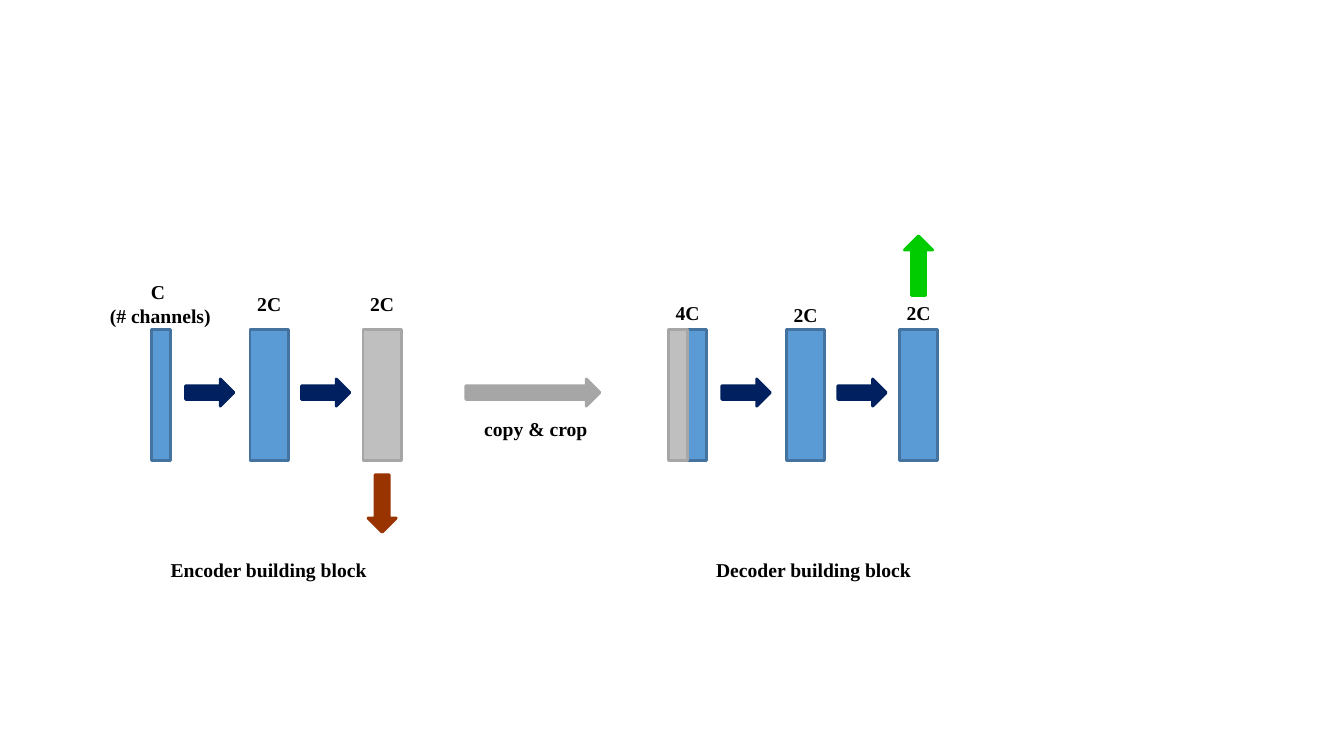
from pptx import Presentation
from pptx import util as u
from pptx.dml.color import RGBColor
from pptx.enum import shapes, text

# Content: lengths in inches
SLIDE_SIZE = (13.33, 7.5)
BLUE, GREY, NAVY = ("5B9BD5", "43739E"), ("BFBFBF", "A6A6A6"), ("002060", "002060")
BROWN, GREEN, SILVER = ("993300", "993300"), ("00CC00", "00CC00"), ("A6A6A6", "A6A6A6")
FONT = {"name": "Times New Roman", "size": u.Pt(14), "bold": True}

# Rows and columns; columns count from the left of a block
BAR_TOP, BAR_HEIGHT, NARROW, WIDE = 3.27, 1.3, 0.19, 0.38
ARROW_TOP, ARROW_LENGTH, ARROW_WIDTH = 3.76, 0.48, 0.27
BAR_COLUMNS = (0, 0.98, 2.1)
ARROW_COLUMNS = (0.34, 1.49)
VERTICAL_COLUMN, VERTICAL_WIDTH = 2.15, 0.28
CAPTION_TOP, LINE_HEIGHT = 5.49, 0.35

# bars: column, width, colours; labels: text, centre, top, width, height
BLOCKS = [
    {"left": 1.5,
     "bars": [(BAR_COLUMNS[0], NARROW, BLUE), (BAR_COLUMNS[1], WIDE, BLUE),
              (BAR_COLUMNS[2], WIDE, GREY)],
     "vertical": ("DOWN_ARROW", 4.71, 0.57, BROWN),
     "labels": [("C \v(# channels)", 0.09, 2.73, 1.22, 0.52),
                ("2C", 1.17, 2.85, 0.59, 0.35), ("2C", 2.29, 2.85, 0.54, 0.35)],
     "caption": ("Encoder building block", 1.57, 2.19)},
    {"left": 6.82,
     "bars": [(BAR_COLUMNS[0], NARROW, BLUE), (BAR_COLUMNS[1], WIDE, BLUE),
              (BAR_COLUMNS[2], WIDE, BLUE), (-NARROW, NARROW, GREY)],
     "vertical": ("UP_ARROW", 2.34, 0.59, GREEN),
     "labels": [("4C", 0, 2.94, 0.54, 0.27), ("2C", 1.17, 2.96, 0.54, 0.3),
                ("2C", 2.29, 2.94, 0.54, 0.29)],
     "caption": ("Decoder building block", 6.9, 2.34)},
]
COPY_LEFT, COPY_LENGTH = 4.62, 1.33
COPY_LABEL = ("copy & crop", 4.65, 4.09, 1.33, LINE_HEIGHT)


def color(value):
    return RGBColor.from_string(value)


def inches(*lengths):
    return [u.Inches(length) for length in lengths]


def add_part(parent, kind, left, top, width, height, colors):
    shape = parent.add_shape(getattr(shapes.MSO_SHAPE, kind), *inches(left, top, width, height))
    shape.shadow.inherit = False
    shape.fill.solid()
    shape.fill.fore_color.rgb = color(colors[0])
    shape.line.color.rgb = color(colors[1])
    shape.line.width = u.Pt(2)


def add_label(parent, wording, left, top, width, height):
    box = parent.add_textbox(*inches(left, top, width, height))
    frame = box.text_frame
    frame.word_wrap = True
    paragraph = frame.paragraphs[0]
    paragraph.text = wording
    paragraph.alignment = text.PP_ALIGN.CENTER
    for run in paragraph.runs:
        for name, value in FONT.items():
            setattr(run.font, name, value)
        run.font.color.rgb = color("000000")


def add_block(slide, block):
    group = slide.shapes.add_group_shape().shapes
    left = block["left"]
    # Feature maps
    for column, width, colors in block["bars"]:
        add_part(group, "RECTANGLE", left + column, BAR_TOP, width, BAR_HEIGHT, colors)
    # Arrows between the maps, and the one leaving the block
    for column in ARROW_COLUMNS:
        add_part(group, "RIGHT_ARROW", left + column, ARROW_TOP, ARROW_LENGTH, ARROW_WIDTH, NAVY)
    kind, top, length, colors = block["vertical"]
    add_part(group, kind, left + VERTICAL_COLUMN, top, VERTICAL_WIDTH, length, colors)
    # Channel counts, centred over the maps
    for wording, center, top, width, height in block["labels"]:
        add_label(group, wording, left + center - width / 2, top, width, height)
    # Caption
    wording, caption_left, width = block["caption"]
    add_label(slide.shapes, wording, caption_left, CAPTION_TOP, width, LINE_HEIGHT)


def main():
    presentation = Presentation()
    presentation.slide_width, presentation.slide_height = inches(*SLIDE_SIZE)
    slide = presentation.slides.add_slide(presentation.slide_layouts[6])
    for block in BLOCKS:
        add_block(slide, block)
    # Link from encoder to decoder
    add_part(slide.shapes, "RIGHT_ARROW", COPY_LEFT, ARROW_TOP, COPY_LENGTH, ARROW_WIDTH, SILVER)
    add_label(slide.shapes, *COPY_LABEL)
    presentation.save("out.pptx")


if __name__ == "__main__":
    main()
